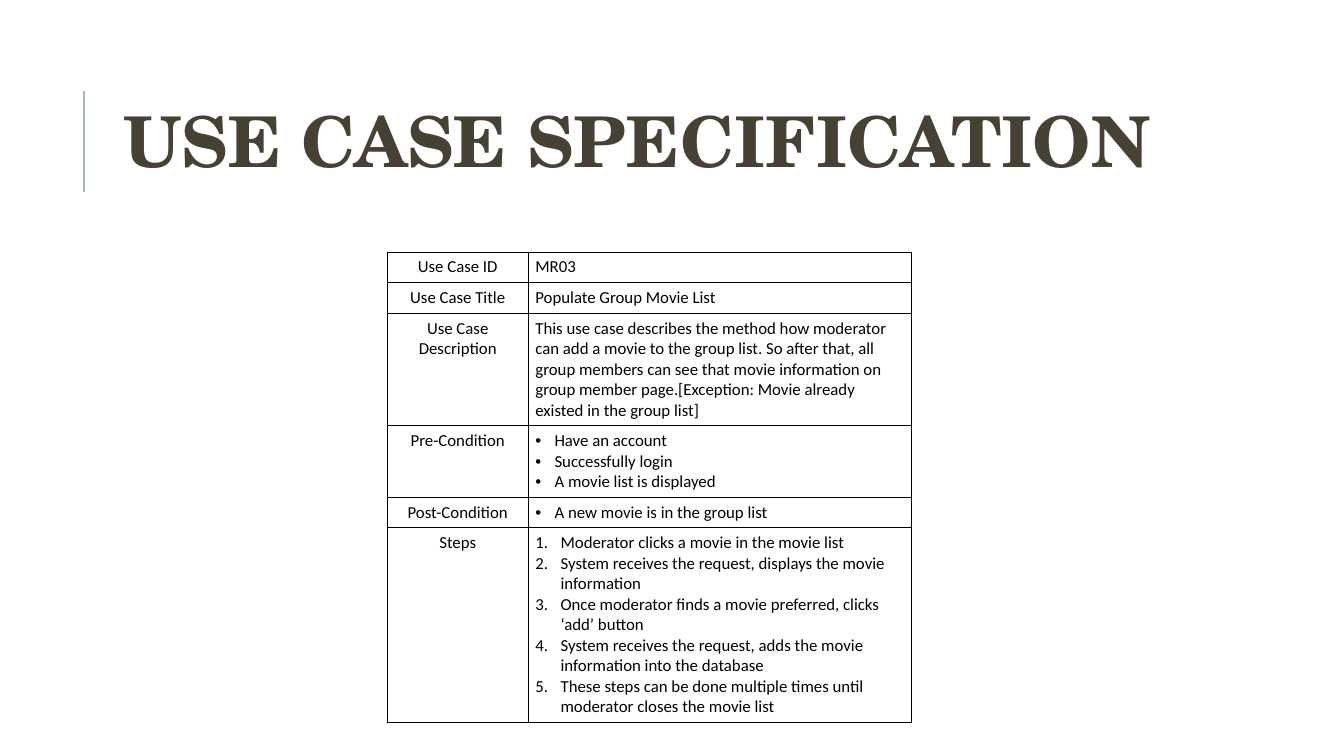
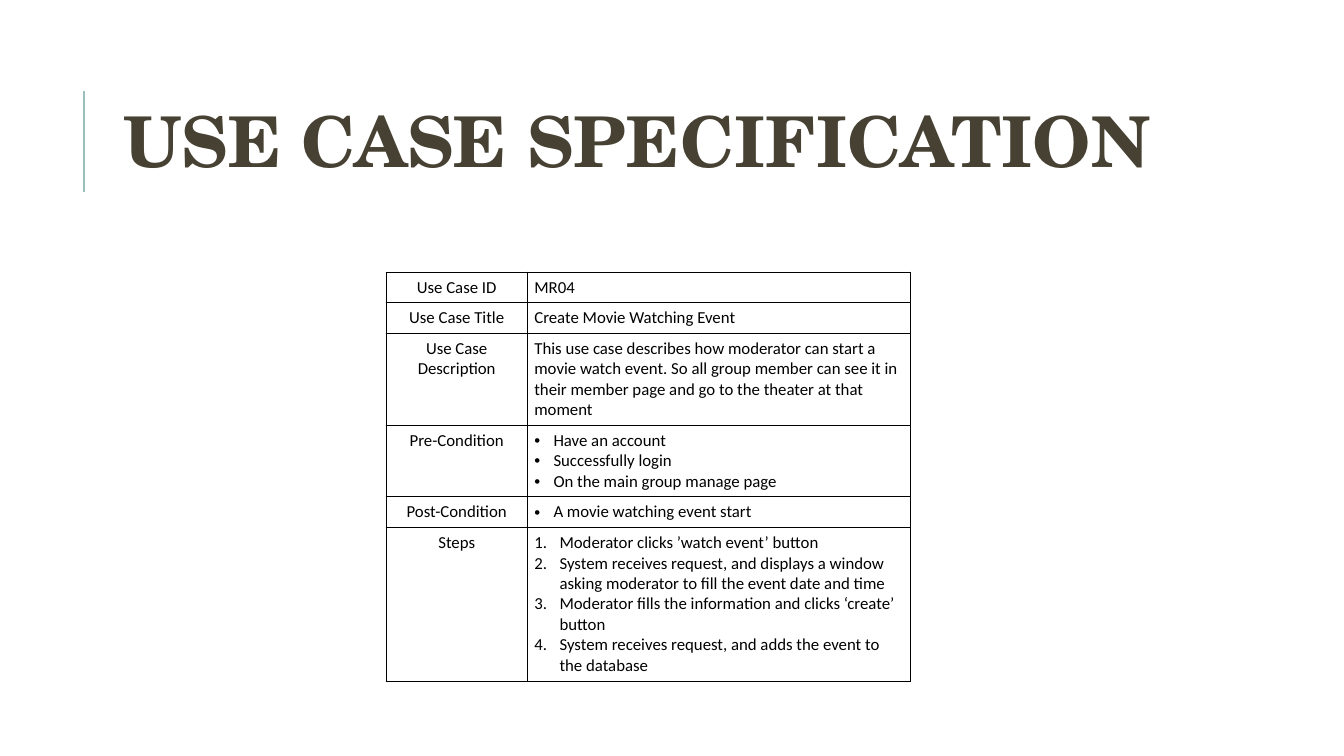
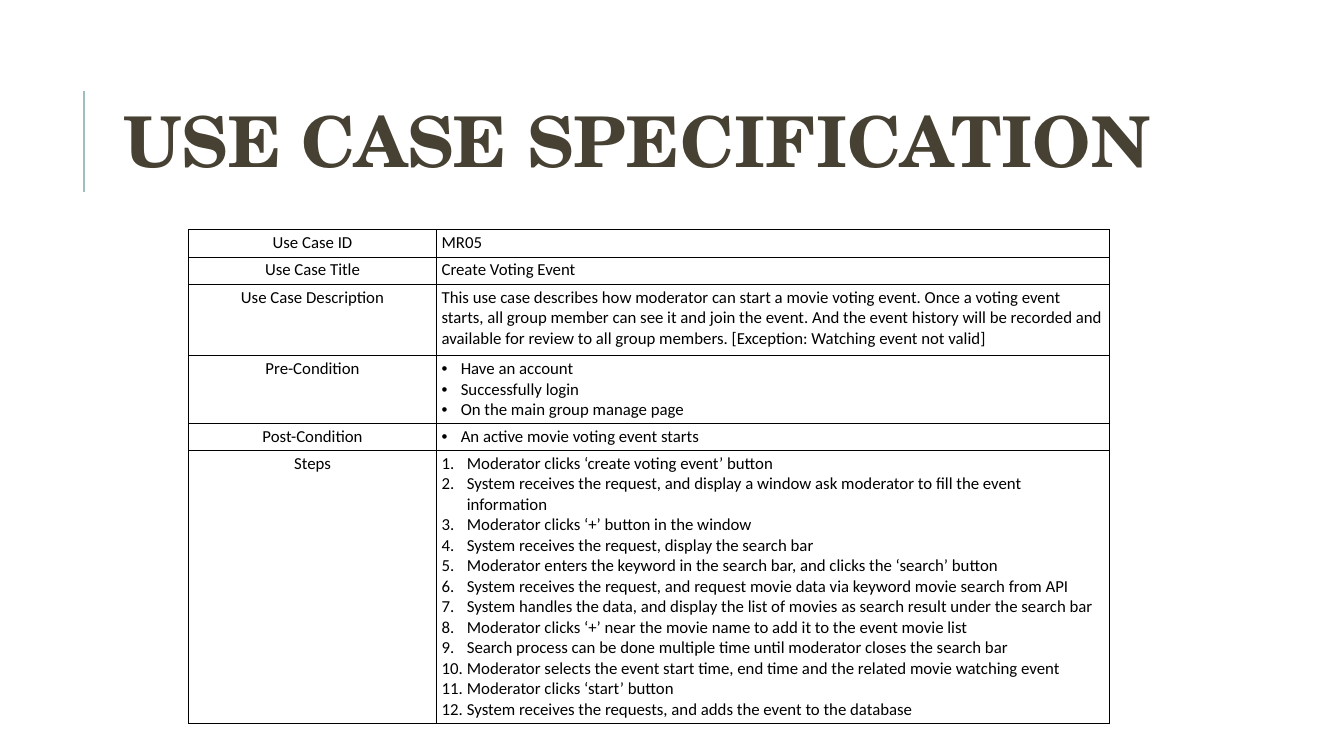
from dataclasses import dataclass

from lxml import etree
from pptx import Presentation
from pptx.dml.color import RGBColor
from pptx.enum.shapes import MSO_CONNECTOR
from pptx.enum.text import MSO_ANCHOR, MSO_AUTO_SIZE, PP_ALIGN
from pptx.oxml.ns import qn
from pptx.util import Pt

STRAIGHT = MSO_CONNECTOR.STRAIGHT
MIDDLE = MSO_ANCHOR.MIDDLE
NO_AUTOFIT = MSO_AUTO_SIZE.NONE
LEFT, CENTER = PP_ALIGN.LEFT, PP_ALIGN.CENTER
PX = 9144  # EMU per px, 100 px to the inch


@dataclass(frozen=True)
class Theme:
    title_font: str = "TeX Gyre Schola"
    title_size: int = 50
    title_color: str = "464132"
    accent: str = "9CBEBD"
    accent_width: float = 1.5
    body_font: str = "Calibri"
    body_size: int = 12
    body_color: str = "000000"
    border_width: float = 0.75


THEME = Theme()
TITLE = "USE CASE SPECIFICATION"
LABELS = ["Use Case ID", "Use Case Title", "Use Case Description",
          "Pre-Condition", "Post-Condition", "Steps"]
BULLET_ROWS = {3: ("buChar", {"char": "•"}, 19),
               4: ("buChar", {"char": "•"}, 19),
               5: ("buAutoNum", {"type": "arabicPeriod"}, 25)}

# Each use case: table position, column widths, row heights, cell margins, values
USE_CASES = [
    {
        "at": (384, 250), "columns": (140, 380), "margins": (7, 5),
        "rows": (30, 30, 111, 71, 30, 193),
        "values": [
            ["MR03"],
            ["Populate Group Movie List"],
            ["This use case describes the method how moderator can add a movie to the "
             "group list. So after that, all group members can see that movie information "
             "on group member page.[Exception: Movie already existed in the group list]"],
            ["Have an account", "Successfully login", "A movie list is displayed"],
            ["A new movie is in the group list"],
            ["Moderator clicks a movie in the movie list",
             "System receives the request, displays the movie information",
             "Once moderator finds a movie preferred, clicks ‘add’ button",
             "System receives the request, adds the movie information into the database",
             "These steps can be done multiple times until moderator closes the movie list"],
        ],
    },
    {
        "at": (383, 270), "columns": (140, 380), "margins": (7, 5),
        "rows": (30, 30, 91, 71, 30, 152),
        "values": [
            ["MR04"],
            ["Create Movie Watching Event"],
            ["This use case describes how moderator can start a movie watch event. So all "
             "group member can see it in their member page and go to the theater at that "
             "moment"],
            ["Have an account", "Successfully login", "On the main group manage page"],
            ["A movie watching event start"],
            ["Moderator clicks ’watch event’ button",
             "System receives request, and displays a window asking moderator to fill the "
             "event date and time",
             "Moderator fills the information and clicks ‘create’ button",
             "System receives request, and adds the event to the database"],
        ],
    },
    {
        "at": (187, 228), "columns": (246, 667), "margins": (5, 3),
        "rows": (27, 27, 71, 67, 27, 271),
        "values": [
            ["MR05"],
            ["Create Voting Event"],
            ["This use case describes how moderator can start a movie voting event. Once a "
             "voting event starts, all group member can see it and join the event. And the "
             "event history will be recorded and available for review to all group members. "
             "[Exception: Watching event not valid]"],
            ["Have an account", "Successfully login", "On the main group manage page"],
            ["An active movie voting event starts"],
            ["Moderator clicks ‘create voting event’ button",
             "System receives the request, and display a window ask moderator to fill the "
             "event information",
             "Moderator clicks ‘+’ button in the window",
             "System receives the request, display the search bar",
             "Moderator enters the keyword in the search bar, and clicks the ‘search’ button",
             "System receives the request, and request movie data via keyword movie search "
             "from API",
             "System handles the data, and display the list of movies as search result under "
             "the search bar",
             "Moderator clicks ‘+’ near the movie name to add it to the event movie list",
             "Search process can be done multiple time until moderator closes the search bar",
             "Moderator selects the event start time, end time and the related movie "
             "watching event",
             "Moderator clicks ‘start’ button",
             "System receives the requests, and adds the event to the database"],
        ],
    },
]


def add_borders(cell):
    properties = cell._tc.get_or_add_tcPr()
    for index, side in enumerate(("lnL", "lnR", "lnT", "lnB")):
        line = etree.Element(qn(f"a:{side}"), w=str(Pt(THEME.border_width)))
        fill = etree.SubElement(line, qn("a:solidFill"))
        etree.SubElement(fill, qn("a:srgbClr"), val=THEME.body_color)
        properties.insert(index, line)


def add_bullet(paragraph, tag, attributes, indent):
    properties = paragraph._p.get_or_add_pPr()
    properties.set("marL", str(indent * PX))
    properties.set("indent", str(-indent * PX))
    color = etree.SubElement(properties, qn("a:buClr"))
    etree.SubElement(color, qn("a:srgbClr"), val=THEME.body_color)
    etree.SubElement(properties, qn("a:buFont"), typeface="Arial" if tag == "buChar" else "+mj-lt")
    etree.SubElement(properties, qn(f"a:{tag}"), attributes)


presentation = Presentation()
presentation.slide_width, presentation.slide_height = 1333 * PX, 750 * PX
title_only = presentation.slide_layouts[5]

for use_case in USE_CASES:
    slide = presentation.slides.add_slide(title_only)

    # Accent line beside the title
    accent = slide.shapes.add_connector(STRAIGHT, 83 * PX, 190 * PX, 83 * PX, 90 * PX)
    accent.line.color.rgb = RGBColor.from_string(THEME.accent)
    accent.line.width = Pt(THEME.accent_width)
    etree.SubElement(accent._element.spPr, qn("a:effectLst"))

    # Title
    title = slide.shapes.title
    title.left, title.top, title.width, title.height = 112 * PX, 64 * PX, 1063 * PX, 164 * PX
    title.text_frame.text = TITLE
    title.text_frame.vertical_anchor = MIDDLE
    title.text_frame.auto_size = NO_AUTOFIT
    paragraph = title.text_frame.paragraphs[0]
    paragraph.alignment = LEFT
    paragraph.line_spacing = 0.8
    paragraph.font.name = THEME.title_font
    paragraph.font.size = Pt(THEME.title_size)
    paragraph.font.bold = True
    paragraph.font.color.rgb = RGBColor.from_string(THEME.title_color)

    # Table grid
    left, top = use_case["at"]
    columns, rows = use_case["columns"], use_case["rows"]
    table = slide.shapes.add_table(len(rows), len(columns), left * PX, top * PX,
                                   sum(columns) * PX, sum(rows) * PX).table
    table.first_row = table.horz_banding = False
    for column, width in zip(table.columns, columns):
        column.width = width * PX
    for row, height in zip(table.rows, rows):
        row.height = height * PX

    # Table cells
    margin_x, margin_y = use_case["margins"]
    for row_index, (label, value) in enumerate(zip(LABELS, use_case["values"])):
        for column_index, lines in enumerate(([label], value)):
            cell = table.cell(row_index, column_index)
            cell.margin_left = cell.margin_right = margin_x * PX
            cell.margin_top = cell.margin_bottom = margin_y * PX
            cell.fill.background()
            add_borders(cell)
            cell.text_frame.text = "\n".join(lines)
            for paragraph in cell.text_frame.paragraphs:
                paragraph.alignment = LEFT if column_index else CENTER
                if column_index and row_index in BULLET_ROWS:
                    add_bullet(paragraph, *BULLET_ROWS[row_index])
                paragraph.font.name = THEME.body_font
                paragraph.font.size = Pt(THEME.body_size)
                paragraph.font.color.rgb = RGBColor.from_string(THEME.body_color)

presentation.save("out.pptx")
